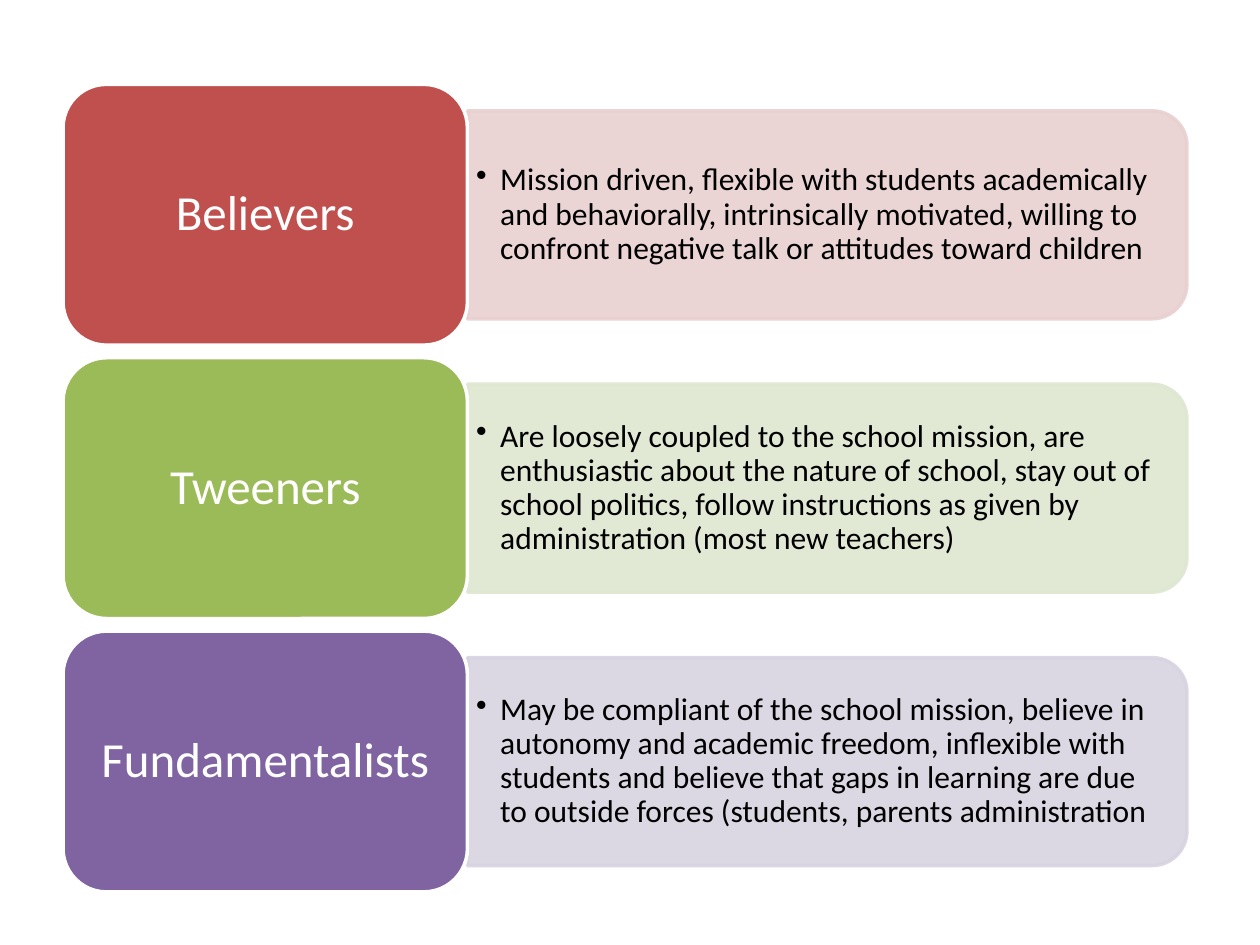
from dataclasses import dataclass

from lxml.etree import SubElement
from pptx import Presentation
from pptx.dml.color import RGBColor
from pptx.enum.shapes import MSO_SHAPE
from pptx.enum.text import MSO_ANCHOR, PP_ALIGN
from pptx.oxml.ns import qn
from pptx.util import Inches, Pt

WHITE = RGBColor(0xFF, 0xFF, 0xFF)
BLACK = RGBColor(0x00, 0x00, 0x00)
RED = RGBColor(0xC0, 0x50, 0x4D)
PALE_RED = RGBColor(0xE8, 0xD0, 0xD0)
GREEN = RGBColor(0x9B, 0xBB, 0x59)
PALE_GREEN = RGBColor(0xDE, 0xE7, 0xD1)
PURPLE = RGBColor(0x80, 0x64, 0xA2)
PALE_PURPLE = RGBColor(0xD8, 0xD3, 0xE0)

FIRST_MIDDLE, ROW_PITCH = 22.73, 28.93
LABEL_LEFT, LABEL_WIDTH, LABEL_HEIGHT = 5, 32.1, 27.6
PANEL_LEFT, PANEL_WIDTH, PANEL_HEIGHT = 37.1, 57.1, 22
TEXT_WIDTH, TEXT_HEIGHT = 56.3, 19.87

GROUPS = [
    ("Believers", RED, PALE_RED,
     "Mission driven, flexible with students academically and behaviorally, "
     "intrinsically motivated, willing to confront negative talk or attitudes "
     "toward children"),
    ("Tweeners", GREEN, PALE_GREEN,
     "Are loosely coupled to the school mission, are enthusiastic about the "
     "nature of school, stay out of school politics, follow instructions as "
     "given by administration (most new teachers)"),
    ("Fundamentalists", PURPLE, PALE_PURPLE,
     "May be compliant of the school mission, believe in autonomy and academic "
     "freedom, inflexible with students and believe that gaps in learning are "
     "due to outside forces (students, parents administration"),
]


@dataclass
class TeacherSlide:
    deck: object
    slide: object
    font: str = "Calibri"
    label_size: int = 28
    detail_size: int = 18
    opacity: int = 90

    def across(self, percent):
        return round(self.deck.slide_width * percent / 100)

    def down(self, percent):
        return round(self.deck.slide_height * percent / 100)

    def box(self, left, middle, width, height):
        return (self.across(left), self.down(middle - height / 2),
                self.across(width), self.down(height))

    def shape(self, kind, box, fill, line):
        shape = self.slide.shapes.add_shape(kind, *box)
        shape.shadow.inherit = False
        shape.fill.solid()
        shape.fill.fore_color.rgb = fill
        shape.line.color.rgb = line
        shape.line.width = Pt(2)
        return shape

    def set_text(self, frame, text, size, color, inset_x, inset_y):
        frame.word_wrap = True
        frame.vertical_anchor = MSO_ANCHOR.MIDDLE
        frame.margin_left = frame.margin_right = Inches(inset_x)
        frame.margin_top = frame.margin_bottom = Inches(inset_y)
        paragraph = frame.paragraphs[0]
        paragraph.line_spacing = 0.9
        run = paragraph.add_run()
        run.text = text
        run.font.name = self.font
        run.font.size = Pt(size)
        run.font.color.rgb = color
        return paragraph

    def panel(self, middle, color):
        left, top, width, height = self.box(
            PANEL_LEFT, middle, PANEL_WIDTH, PANEL_HEIGHT)
        shift = (width - height) // 2
        panel = self.shape(MSO_SHAPE.ROUND_2_SAME_RECTANGLE,
                           (left + shift, top - shift, height, width),
                           color, color)
        panel.rotation = 90
        for tint in panel._element.spPr.iter(qn("a:srgbClr")):
            SubElement(tint, qn("a:alpha"), val=str(self.opacity * 1000))

    def detail(self, middle, text):
        detail = self.slide.shapes.add_textbox(
            *self.box(PANEL_LEFT, middle, TEXT_WIDTH, TEXT_HEIGHT))
        paragraph = self.set_text(detail.text_frame, text, self.detail_size,
                                  BLACK, 0.07, 0.04)
        paragraph.level = 1
        properties = paragraph._p.get_or_add_pPr()
        properties.set("marL", str(Inches(0.19)))
        properties.set("indent", str(-Inches(0.19)))
        SubElement(properties, qn("a:buChar"), char="•")

    def label(self, middle, text, color):
        label = self.shape(
            MSO_SHAPE.ROUNDED_RECTANGLE,
            self.box(LABEL_LEFT, middle, LABEL_WIDTH, LABEL_HEIGHT),
            color, WHITE)
        paragraph = self.set_text(label.text_frame, text, self.label_size,
                                  WHITE, 0.12, 0.06)
        paragraph.alignment = PP_ALIGN.CENTER


def main():
    deck = Presentation()
    deck.slide_width, deck.slide_height = Inches(10), Inches(7.5)
    blank = deck.slide_layouts.get_by_name("Blank")
    teachers = TeacherSlide(deck, deck.slides.add_slide(blank))
    for row, (name, color, pale, description) in enumerate(GROUPS):
        middle = FIRST_MIDDLE + row * ROW_PITCH
        teachers.panel(middle, pale)
        teachers.detail(middle, description)
        teachers.label(middle, name, color)
    deck.save("out.pptx")


if __name__ == "__main__":
    main()
